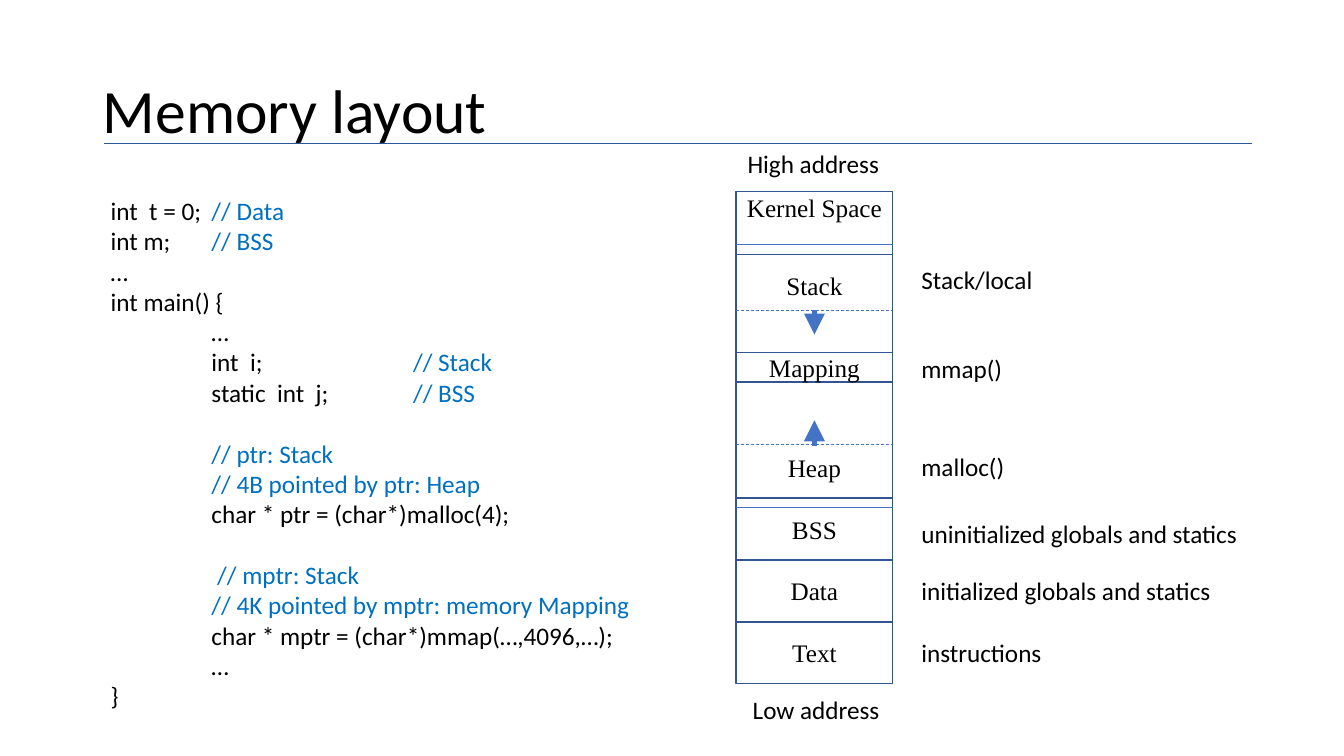
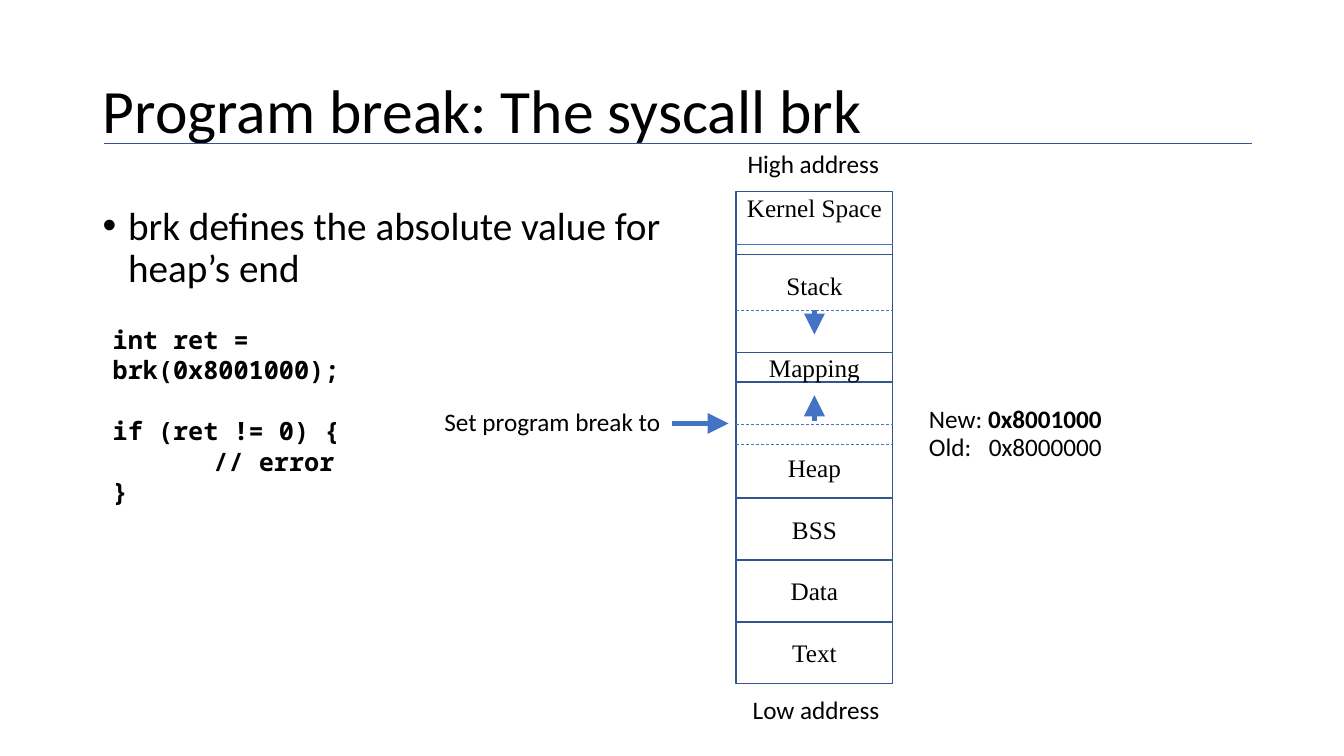
"""Build two slides on process memory layout and the program break."""
from lxml import etree
from pptx import Presentation, util as u
from pptx.dml.color import RGBColor
from pptx.enum import dml, shapes, text
from pptx.oxml.ns import qn

BLACK = RGBColor(0x00, 0x00, 0x00)
BLUE = RGBColor(0x44, 0x72, 0xC4)
EDGE = RGBColor(0x32, 0x54, 0x91)
RULE = RGBColor(0x2F, 0x55, 0x97)
NOTE = RGBColor(0x00, 0x70, 0xC0)
SANS, SERIF, MONO = "Calibri", "Times New Roman", "Noto Sans Mono"
LEFT, WIDE = 18.55, 3.95
RIGHT, MID = LEFT + WIDE, LEFT + WIDE / 2
LOW, STEP = 12.55, 1.56
TABS = (2.54, 5.08, 7.62)

CODE = """int  t = 0;\t// Data
int m;\t// BSS
…
int main() {
\t…
\tint  i;\t\t// Stack
\tstatic  int  j;\t// BSS

\t// ptr: Stack
\t// 4B pointed by ptr: Heap
\tchar * ptr = (char*)malloc(4);

\t // mptr: Stack
\t// 4K pointed by mptr: memory Mapping
\tchar * mptr = (char*)mmap(…,4096,…);
\t…
}"""

BREAK = """int ret =  brk(0x8001000);

if (ret != 0) {
\t// error
}"""


class Deck:
    """Hold the shared style and the current slide."""

    def __init__(self):
        self.show = Presentation()
        self.show.slide_width, self.show.slide_height = u.Cm(33.87), u.Cm(19.05)

    def slide(self, title):
        """Start a slide with its title and rule."""
        self.page = self.show.slides.add_slide(self.show.slide_layouts[5])
        head = self.page.shapes.title
        head.left, head.top, head.width, head.height = map(u.Cm, (2.34, 1.02, 29.21, 3.68))
        frame = head.text_frame
        frame.text = title
        frame.auto_size = text.MSO_AUTO_SIZE.NONE
        frame.vertical_anchor = text.MSO_ANCHOR.MIDDLE
        para = frame.paragraphs[0]
        para.alignment = text.PP_ALIGN.LEFT
        para.line_spacing = 0.9
        self.style(para, 44)
        self.line(2.62, 3.6, 31.55, 3.6, RULE)

    def style(self, para, size=18, font=SANS, bold=False):
        """Set the font of a paragraph."""
        face = para.font
        face.name, face.size, face.bold = font, u.Pt(size), bold
        face.color.rgb = BLACK

    def tabs(self, para, *stops):
        """Set the tab stops of a styled paragraph."""
        group = etree.Element(qn("a:tabLst"))
        for stop in stops:
            etree.SubElement(group, qn("a:tab"), pos=str(u.Cm(stop)), algn="l")
        para._p.pPr.find(qn("a:defRPr")).addprevious(group)

    def line(self, x1, y1, x2, y2, color=BLUE, width=0.5, dash=False, arrow=False):
        """Draw a line or an arrow."""
        link = self.page.shapes.add_connector(
            shapes.MSO_CONNECTOR.STRAIGHT, *map(u.Cm, (x1, y1, x2, y2)))
        link.line.color.rgb = color
        link.line.width = u.Pt(width)
        if dash:
            link.line.dash_style = dml.MSO_LINE.DASH
        if arrow:
            etree.SubElement(link.line._get_or_add_ln(), qn("a:tailEnd"),
                             type="triangle", w="lg", len="lg")
        etree.SubElement(link._element.spPr, qn("a:effectLst"))

    def arrow(self, x1, y1, x2, y2):
        """Draw a thick arrow."""
        self.line(x1, y1, x2, y2, width=3, arrow=True)

    def across(self, y, dash=False):
        """Draw a thin line across the memory column."""
        self.line(LEFT, y, RIGHT, y, dash=dash)

    def block(self, top, high, names, gap=0, lift=False):
        """Draw a memory block with its names spaced by a gap."""
        box = self.page.shapes.add_shape(
            shapes.MSO_SHAPE.RECTANGLE, *map(u.Cm, (LEFT, top, WIDE, high)))
        box.shadow.inherit = False
        box.fill.background()
        box.line.color.rgb = EDGE
        box.line.width = u.Pt(1)
        frame = box.text_frame
        frame.margin_left = frame.margin_right = frame.margin_bottom = 0
        frame.margin_top = u.Cm(0.03 if lift else 0)
        frame.vertical_anchor = text.MSO_ANCHOR.TOP if lift else text.MSO_ANCHOR.MIDDLE
        frame.text = "\n".join(names)
        for para in frame.paragraphs:
            para.alignment = text.PP_ALIGN.CENTER
            self.style(para, font=SERIF)
        frame.paragraphs[-1].space_before = u.Pt(gap)

    def label(self, x, y, wide, words, high=1.02, size=18, wrap=False):
        """Write a line of text and return its paragraph."""
        box = self.page.shapes.add_textbox(*map(u.Cm, (x, y, wide, high)))
        box.text_frame.word_wrap = wrap
        para = box.text_frame.paragraphs[0]
        para.text = words
        self.style(para, size)
        return para

    def bullet(self, x, y, wide, high, words):
        """Write a bulleted paragraph."""
        para = self.label(x, y, wide, words, high, 28, True)
        para.line_spacing = 0.9
        props = para._p.get_or_add_pPr()
        props.set("marL", str(u.Cm(0.64)))
        props.set("indent", str(-u.Cm(0.64)))
        last = props.find(qn("a:defRPr"))
        last.addprevious(etree.Element(qn("a:buFont"), typeface="Arial"))
        last.addprevious(etree.Element(qn("a:buChar"), char="•"))

    def code(self, x, y, wide, high, source, font=SANS, bold=False, tint=BLACK, wrap=False):
        """Write a listing with tinted comments and gaps at empty lines."""
        box = self.page.shapes.add_textbox(*map(u.Cm, (x, y, wide, high)))
        frame = box.text_frame
        frame.word_wrap = wrap
        para, gap = frame.paragraphs[0], 0
        for row, words in enumerate(source.split("\n")):
            if not words:
                gap = 22
                continue
            if row:
                para = frame.add_paragraph()
            self.style(para, font=font, bold=bold)
            self.tabs(para, *TABS)
            para.space_before, gap = u.Pt(gap), 0
            start, slash, rest = words.partition("//")
            if start:
                para.add_run().text = start
            if slash:
                run = para.add_run()
                run.text = slash + rest
                run.font.color.rgb = tint

    def memory(self, top):
        """Draw the memory column with the heap arrow starting at top."""
        self.block(4.82, 1.6, ["Kernel Space"], lift=True)
        self.block(6.42, LOW - 6.42, ["Stack", "Heap"], gap=108.5)
        for row, name in enumerate(("BSS", "Data", "Text")):
            self.block(LOW + row * STEP, STEP, [name])
        self.block(8.89, 0.74, ["Mapping"])
        self.across(6.15)
        for y in (7.82, 11.2):
            self.across(y, dash=True)
        self.arrow(MID, 7.82, MID, 8.43)
        self.arrow(MID, top, MID, top - 0.66)
        self.label(18.59, 3.61, 3.86, "High address")
        self.label(18.72, 17.37, 3.73, "Low address")


deck = Deck()

deck.slide("Memory layout")
deck.memory(11.25)
deck.across(12.79)
for y, wide, words in (
    (6.53, 3.33, "Stack/local"),
    (8.79, 2.57, "mmap()"),
    (11.25, 2.62, "malloc()"),
    (12.93, 8.56, "uninitialized globals and statics"),
    (14.38, 7.9, "initialized globals and statics"),
    (15.93, 3.58, "instructions"),
):
    deck.label(22.97, y, wide, words)
deck.code(2.54, 4.8, 13.84, 13.34, CODE, tint=NOTE)

deck.slide("Program break: The syscall brk")
deck.memory(10.62)
deck.across(10.69, dash=True)
deck.bullet(2.34, 5.08, 14.6, 2.6, "brk defines the absolute value for heap’s end")
deck.code(2.59, 8.05, 9.65, 4.11, BREAK, font=MONO, bold=True, wrap=True)
deck.label(10.95, 10.11, 6.02, "Set program break to")
deck.arrow(16.94, 10.67, 18.36, 10.67)
fresh = deck.label(23.16, 10.03, 4.9, "New: ").add_run()
fresh.text = "0x8001000"
fresh.font.bold = True
deck.tabs(deck.label(23.16, 10.74, 4.9, "Old:\t0x8000000"), 1.51)

deck.show.save("out.pptx")
